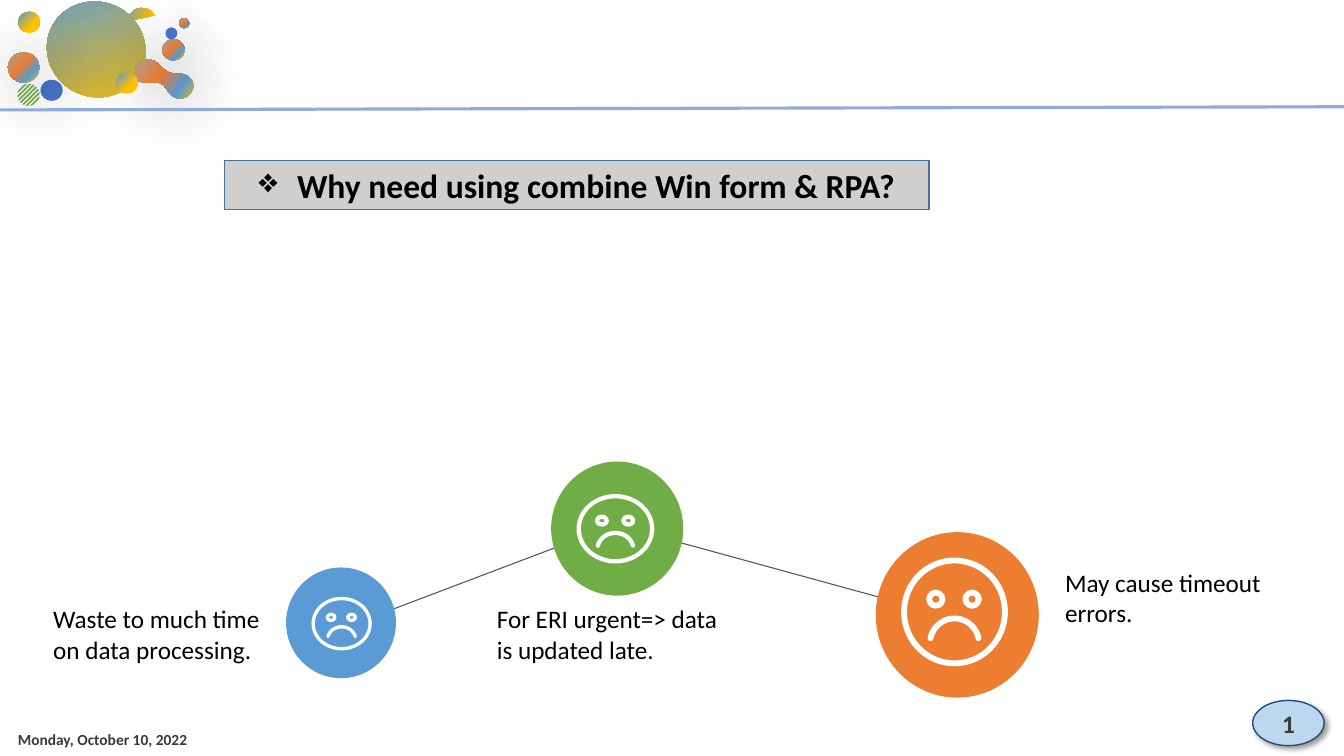
import math
import pptx
import pptx.util
import pptx.dml.color
import pptx.enum.shapes
import pptx.enum.text
import pptx.oxml
import pptx.oxml.ns
from lxml import etree

Cm = pptx.util.Cm
Pt = pptx.util.Pt
KIND = pptx.enum.shapes.MSO_SHAPE
ALIGN = pptx.enum.text.PP_ALIGN
ANCHOR = pptx.enum.text.MSO_ANCHOR

FONT = "Calibri"
TITLE = "Why need using combine Win form & RPA?"
DATE = "Monday, October 10, 2022"
PAGE_NUMBER = "1"
REASONS = [
    ("Waste to much time on data processing.", (1.09, 15.09)),
    ("For ERI urgent=> data is updated late.", (12.27, 15.09)),
    ("May cause timeout errors.", (26.59, 14.17)),
]
DISCS = [
    ("5B9BD5", (7.21, 14.3, 2.77, 2.79), (7.85, 15.04, 1.52, 1.35)),
    ("70AD47", (13.89, 11.63, 3.33, 3.38), (14.53, 12.45, 1.96, 1.75)),
    ("ED7D31", (22.07, 13.41, 4.11, 4.17), (22.71, 14.05, 2.69, 2.74)),
]
LINKS = [(23.77, 15.49, 15.82, 13.31), (15.29, 13.31, 8.66, 15.82)]

BLUE = "4472C4"
GOLD = [(0, "FFC000"), (39, "FFC000"), (100, "5B9BD5")]
GOLD_TO_BLUE = [(0, "FFC000"), (100, "5B9BD5")]
RAINBOW = [(0, "FFC000"), (28, "5B9BD5"), (56, "ED7D31"), (100, "A5A5A5")]
SOFT_SHADOW = (41, 48, 3)
BADGE_SHADOW = (40, 4, 3)
BIG_BUBBLES = [
    (KIND.CHORD, (3.2, 0.2, 0.76, 0.74), 159.5, GOLD),
    (KIND.OVAL, (1.17, 0.05, 2.51, 2.39), 206.4, GOLD_TO_BLUE),
]
SMALL_BUBBLES = [
    ((4.09, 0.99, 0.56, 0.53), RAINBOW, SOFT_SHADOW),
    ((4.52, 0.46, 0.25, 0.25), RAINBOW, SOFT_SHADOW),
    ((1.02, 2.01, 0.56, 0.53), BLUE, SOFT_SHADOW),
    ((2.92, 1.83, 0.56, 0.53), GOLD, None),
    ((0.2, 1.32, 0.79, 0.76), RAINBOW, SOFT_SHADOW),
    ((0.46, 0.3, 0.56, 0.53), GOLD, None),
    ((4.17, 0.69, 0.3, 0.3), BLUE, SOFT_SHADOW),
]
DROPLET_START = (4.42, 2.54)
DROPLET_CURVES = [
    ((4.22, 2.49), (4.17, 2.26), (4.01, 2.16)),
    ((3.86, 2.03), (3.63, 2.13), (3.48, 1.88)),
    ((3.33, 1.65), (3.63, 1.37), (3.86, 1.45)),
    ((4.11, 1.52), (4.09, 1.78), (4.24, 1.9)),
    ((4.39, 2.01), (4.78, 1.9), (4.83, 2.16)),
    ((4.88, 2.44), (4.62, 2.59), (4.42, 2.54)),
]

deck = pptx.Presentation()
deck.slide_width, deck.slide_height = Cm(33.87), Cm(19.05)
page = deck.slides.add_slide(deck.slide_layouts[6])


def color(code):
    return pptx.dml.color.RGBColor.from_string(code)


def add_xml(parent, tag, **attributes):
    return etree.SubElement(parent, pptx.oxml.ns.qn(tag), attributes)


def paint(shape, fill=None, line=None, width=1, shadow=None):
    shape.shadow.inherit = False
    if fill is None:
        shape.fill.background()
    elif isinstance(fill, str):
        shape.fill.solid()
        shape.fill.fore_color.rgb = color(fill)
    else:
        shape.fill.gradient()
        shape.fill.gradient_angle = 315
        stops = next(shape._element.spPr.iter(pptx.oxml.ns.qn("a:gsLst")))
        for stop in list(stops):
            stops.remove(stop)
        for place, code in fill:
            add_xml(add_xml(stops, "a:gs", pos=str(place * 1000)), "a:srgbClr", val=code)
    if line:
        shape.line.color.rgb = color(line)
        shape.line.width = Pt(width)
    else:
        shape.line.fill.background()
    if shadow:
        alpha, blur, distance = shadow
        effects = shape._element.spPr.find(pptx.oxml.ns.qn("a:effectLst"))
        outer = add_xml(effects, "a:outerShdw", blurRad=str(Pt(blur)), dist=str(Pt(distance)),
                        dir="2700000", algn="tl", rotWithShape="0")
        add_xml(add_xml(outer, "a:srgbClr", val="000000"), "a:alpha", val=str(alpha * 1000))
    return shape


def add_shape(kind, place, **look):
    return paint(page.shapes.add_shape(kind, *map(Cm, place)), **look)


def add_outline(contours, close, **look):
    builder = None
    for contour in contours:
        points = [(Cm(x), Cm(y)) for x, y in contour]
        if builder is None:
            builder = page.shapes.build_freeform(*points[0], scale=1.0)
        else:
            builder.move_to(*points[0])
        builder.add_line_segments(points[1:], close=close)
    return paint(builder.convert_to_shape(), **look)


def add_line(ends, code, width):
    line = page.shapes.add_connector(pptx.enum.shapes.MSO_CONNECTOR.STRAIGHT, *map(Cm, ends))
    line.line.color.rgb = color(code)
    line.line.width = Pt(width)
    add_xml(line._element.spPr, "a:effectLst")


def write(box, text, size, code="000000", bold=False, align=ALIGN.LEFT, anchor=ANCHOR.MIDDLE):
    frame = box.text_frame
    frame.word_wrap = True
    frame.vertical_anchor = anchor
    para = frame.paragraphs[0]
    para.alignment = align
    span = para.add_run()
    span.text = text
    span.font.name, span.font.size, span.font.bold = FONT, Pt(size), bold
    span.font.color.rgb = color(code)
    return para


def droplet_points(steps=12):
    points = [DROPLET_START]
    for first, second, end in DROPLET_CURVES:
        start = points[-1]
        for step in range(1, steps + 1):
            t = step / steps
            weights = ((1 - t) ** 3, 3 * t * (1 - t) ** 2, 3 * t * t * (1 - t), t ** 3)
            corners = (start, first, second, end)
            points.append(tuple(sum(w * c[axis] for w, c in zip(weights, corners)) for axis in (0, 1)))
    return points


def stripe_contours(x=0.72, y=2.39, radius=0.28, count=7, half_width=0.02):
    slope = math.sqrt(0.5)
    for index in range(count):
        offset = (index - (count - 1) / 2) * 2 * radius / count
        sides = []
        for edge in (offset - half_width, offset + half_width):
            reach = math.sqrt(radius ** 2 - edge ** 2)
            sides.append([(x + slope * (edge + end), y + slope * (edge - end))
                          for end in (-reach, reach)])
        yield sides[0] + sides[1][::-1]


def add_sad_face(left, top, width, height):
    stroke = 0.055 * width
    pen = {"line": "FFFFFF", "width": round(stroke / 2.54 * 72, 2)}
    parts = [(0, 0, 1, 1), (0.235, 0.295, 0.18, 0.175), (0.575, 0.295, 0.18, 0.175)]
    for x, y, w, h in parts:
        add_shape(KIND.OVAL, (left + x * width + stroke / 2, top + y * height + stroke / 2,
                              w * width - stroke, h * height - stroke), **pen)
    angles = [math.radians(degree) for degree in range(168, 11, -6)]
    mouth = [(left + width * (0.5 + 0.23 * math.cos(angle)),
              top + height * (0.79 - 0.23 * math.sin(angle))) for angle in angles]
    shape = add_outline([mouth], False, **pen)
    shape.line._get_or_add_ln().set("cap", "rnd")


add_outline(stripe_contours(), True, fill="70AD47")
for kind, place, turn, fill in BIG_BUBBLES:
    bubble = add_shape(kind, place, fill=fill)
    bubble.rotation = turn
    if kind == KIND.CHORD:
        bubble.adjustments[0], bubble.adjustments[1] = 16.2, 103.82
droplet = add_outline([droplet_points()], True, fill=RAINBOW, shadow=SOFT_SHADOW)
droplet.rotation = 170.2
for place, fill, shadow in SMALL_BUBBLES:
    add_shape(KIND.OVAL, place, fill=fill, shadow=shadow).rotation = 180

add_line((0, 2.77, 33.87, 2.69), "8FAADC", 2.25)
write(page.shapes.add_textbox(Cm(0.2), Cm(18.11), Cm(9.8), Cm(1.02)), DATE, 11, "3B3838", True)
badge = add_shape(KIND.OVAL, (31.57, 17.65, 1.8, 1.14), fill="BDD7EE", line="1F4E79",
                  shadow=BADGE_SHADOW)
write(badge, PAGE_NUMBER, 18, "3B3838", True, ALIGN.CENTER)

for ends in LINKS:
    add_line(ends, "44546A", 0.75)
for fill, disc, face in DISCS:
    add_shape(KIND.OVAL, disc, fill=fill)
    add_sad_face(*face)
for text, (left, top) in REASONS:
    box = page.shapes.add_textbox(Cm(left), Cm(top), Cm(6.1), Cm(1.8))
    write(box, text, 18, anchor=ANCHOR.TOP)
    box.text_frame.auto_size = pptx.enum.text.MSO_AUTO_SIZE.SHAPE_TO_FIT_TEXT

banner = add_shape(KIND.RECTANGLE, (5.66, 4.04, 17.75, 1.24), fill="D0CECE", line="43739E")
heading = write(banner, TITLE, 24, bold=True, align=ALIGN.CENTER)
layout = heading._p.get_or_add_pPr()
layout.set("marL", str(Cm(0.97)))
layout.set("indent", str(-Cm(0.97)))
add_xml(layout, "a:buChar", char="❖")

deck.save("out.pptx")
